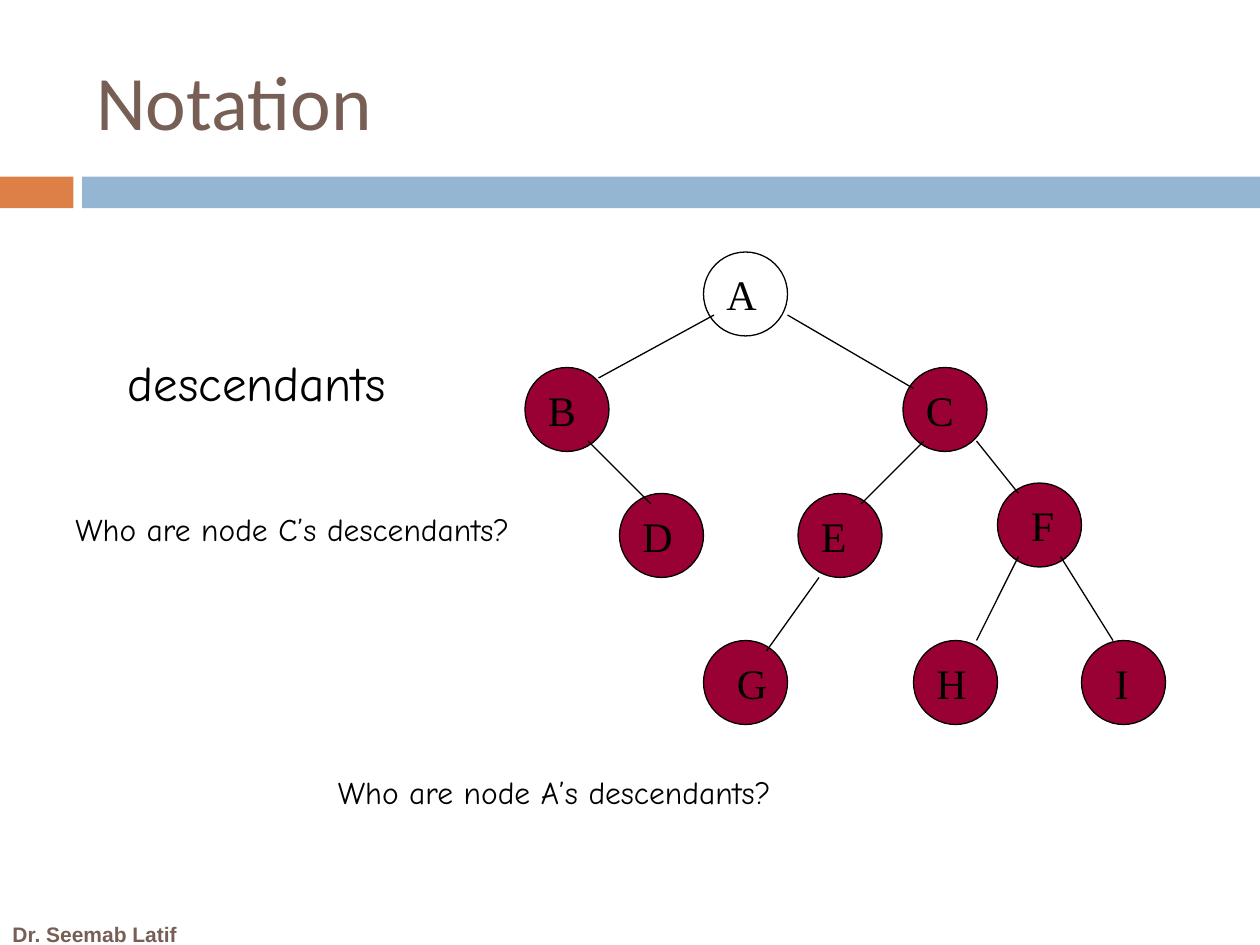
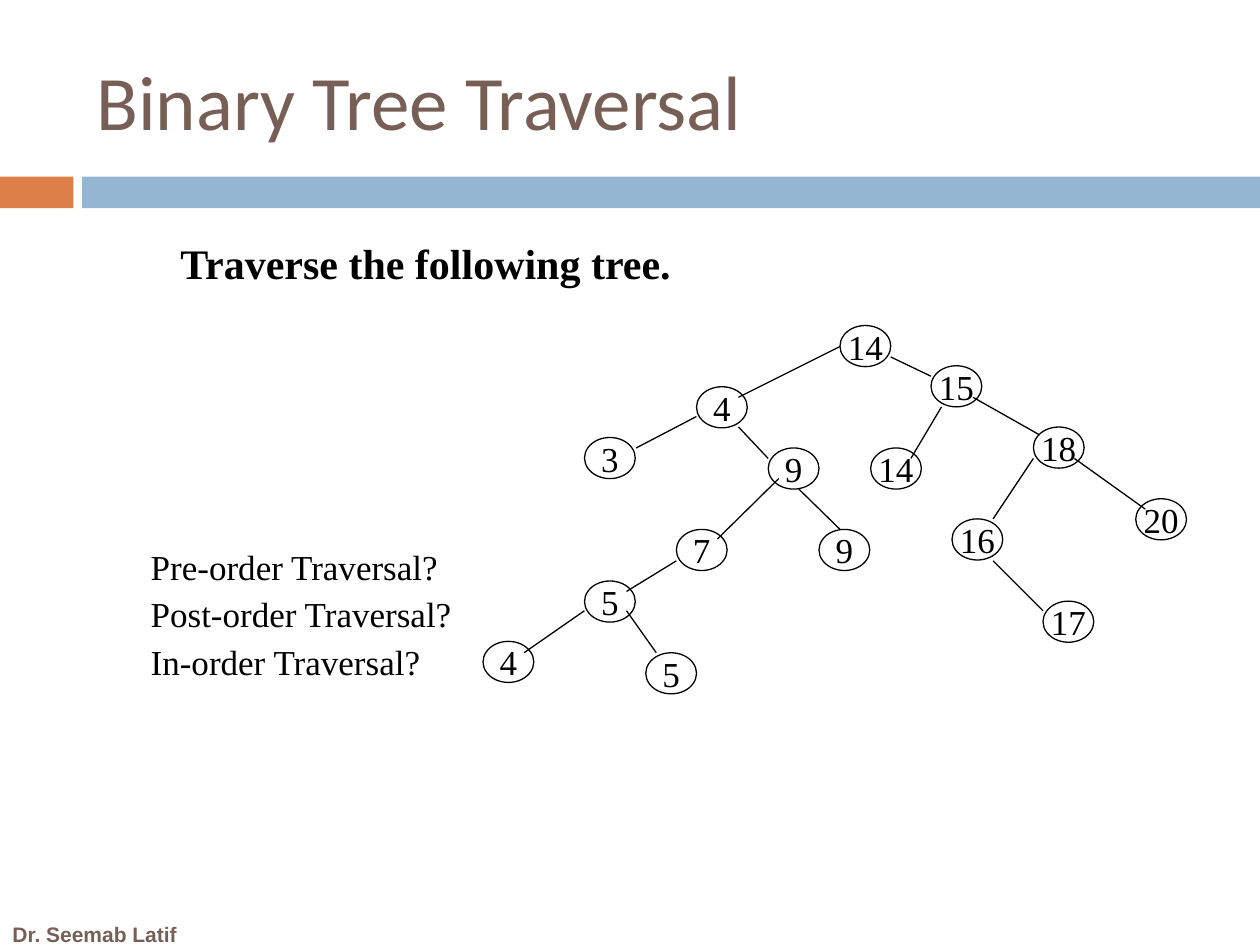
from lxml import etree
from pptx import Presentation
from pptx.dml.color import RGBColor
from pptx.enum import shapes, text
from pptx.oxml.ns import qn
from pptx.util import Pt

BLACK, WHITE, CRIMSON = "000000", "FFFFFF", "990033"
BROWN, ORANGE, BLUE = "775F55", "DD8047", "94B6D2"
SERIF, COMIC, SANS, FOOTER_FONT = "Times New Roman", "Comic Neue", "Calibri", "Arial"


def rgb(color):
    return RGBColor.from_string(color)


class Deck:
    """Shared style plus the slide being drawn."""

    def __init__(self):
        self.file = Presentation()
        self.file.slide_width, self.file.slide_height = Pt(720), Pt(540)
        self.slide = None

    def new_slide(self, title):
        self.slide = self.file.slides.add_slide(self.file.slide_layouts[6])
        self.shape(0, 101, 42, 18, fill=ORANGE)
        self.shape(47, 101, 673, 18, fill=BLUE)
        self.label(0, 522, 132, 23, ["Dr. Seemab Latif"], 12, FOOTER_FONT, BROWN,
                   bold=True, middle=True)
        self.label(48, 18, 642, 78, [title], 44, SANS, BROWN, wrap=True, middle=True)

    def shape(self, left, top, width, height, kind=shapes.MSO_SHAPE.RECTANGLE,
              fill=None, line=None):
        body = self.slide.shapes.add_shape(kind, Pt(left), Pt(top), Pt(width), Pt(height))
        body.shadow.inherit = False
        if fill:
            body.fill.solid()
            body.fill.fore_color.rgb = rgb(fill)
        else:
            body.fill.background()
        if line:
            body.line.color.rgb = rgb(line)
            body.line.width = Pt(0.75)
        else:
            body.line.fill.background()
        return body

    def node(self, left, top, width, height, fill=None, value=None):
        circle = self.shape(left, top, width, height, shapes.MSO_SHAPE.OVAL, fill, BLACK)
        if value:
            self.set_text(circle.text_frame, [value], 20, SERIF, middle=True,
                          align=text.PP_ALIGN.CENTER)

    def edge(self, x1, y1, x2, y2):
        branch = self.slide.shapes.add_connector(
            shapes.MSO_CONNECTOR.STRAIGHT, Pt(x1), Pt(y1), Pt(x2), Pt(y2))
        branch.line.color.rgb = rgb(BLACK)
        branch.line.width = Pt(0.75)
        etree.SubElement(branch._element.spPr, qn("a:effectLst"))

    def label(self, left, top, width, height, lines, size, font, color=BLACK, **style):
        box = self.slide.shapes.add_textbox(Pt(left), Pt(top), Pt(width), Pt(height))
        self.set_text(box.text_frame, lines, size, font, color, **style)

    def set_text(self, frame, lines, size, font, color=BLACK, bold=False, wrap=False,
                 middle=False, align=text.PP_ALIGN.LEFT, spacing=None, gap=0):
        frame.word_wrap = wrap
        frame.vertical_anchor = text.MSO_ANCHOR.MIDDLE if middle else text.MSO_ANCHOR.TOP
        for index, line in enumerate(lines):
            paragraph = frame.paragraphs[0] if index == 0 else frame.add_paragraph()
            paragraph.alignment = align
            if spacing:
                paragraph.line_spacing = spacing
            if index and gap:
                paragraph.space_before = Pt(gap)
            run = paragraph.add_run()
            run.text = line
            run.font.size, run.font.name, run.font.bold = Pt(size), font, bold
            run.font.color.rgb = rgb(color)


def notation_slide(deck):
    deck.new_slide("Notation")

    # Tree nodes: left, top, inset of the letter, width of the letter's box
    letters = {
        "A": (402, 144, 6, 32), "B": (300, 210, 6, 30), "C": (516, 210, 6, 30),
        "D": (354, 282, 6, 32), "E": (456, 282, 6, 29), "F": (570, 276, 12, 28),
        "G": (402, 366, 12, 32), "H": (522, 366, 6, 32), "I": (618, 366, 12, 22),
    }
    for letter, (left, top, _, _) in letters.items():
        deck.node(left, top, 48, 48, fill=None if letter == "A" else CRIMSON)

    # Branches
    for branch in [
        (408, 180, 342, 216), (450, 180, 522, 222), (336, 252, 372, 288),
        (528, 252, 492, 288), (558, 252, 582, 282), (468, 330, 438, 372),
        (582, 318, 558, 366), (606, 318, 636, 366),
    ]:
        deck.edge(*branch)
    for letter, (left, top, inset, width) in letters.items():
        deck.label(left + inset, top + 6, width, 36, [letter], 24, SERIF)

    # Term and questions
    deck.label(36, 288, 278, 29, ["Who are node C’s descendants?"], 18, COMIC)
    deck.label(186, 438, 281, 29, ["Who are node A’s descendants?"], 18, COMIC)
    deck.label(66, 198, 176, 41, ["descendants"], 28, COMIC)


def traversal_slide(deck):
    deck.new_slide("Binary Tree Traversal")

    # Tree nodes, level by level
    for value, left, top in [
        ("14", 480, 186),
        ("4", 398, 221), ("15", 532, 209),
        ("3", 334, 250), ("9", 439, 256), ("14", 497.5, 256), ("18", 590.5, 244),
        ("7", 386.5, 302.5), ("9", 468, 302.5), ("16", 544, 296.5), ("20", 649, 285),
        ("5", 334, 332), ("17", 596, 343.5),
        ("4", 276, 366.5), ("5", 369, 373),
    ]:
        deck.node(left, top, 29, 23.5, WHITE, value)

    # Branches
    for branch in [
        (480, 198, 422, 227), (509, 204, 532, 215),
        (398, 238, 363.5, 256), (422, 244, 439, 262),
        (538, 232.5, 520.5, 262), (556, 227, 594, 248.5),
        (445, 273.5, 410, 308), (456.5, 279.5, 480, 302.5),
        (590.5, 262, 567.5, 296.5), (614, 262, 654.5, 291),
        (386.5, 320.5, 358, 338), (567.5, 320.5, 596, 349),
        (334, 349, 299.5, 373), (358, 349, 375, 373),
    ]:
        deck.edge(*branch)

    # Task and questions
    orders = [f"{order}-order Traversal?" for order in ("Pre", "Post", "In")]
    deck.label(79, 312, 190, 82, orders, 20, SERIF, middle=True, spacing=0.8, gap=8)
    deck.label(96, 132, 426, 36, ["Traverse the following tree."], 24, SERIF,
               bold=True, wrap=True)


def main():
    deck = Deck()
    notation_slide(deck)
    traversal_slide(deck)
    deck.file.save("out.pptx")


if __name__ == "__main__":
    main()
